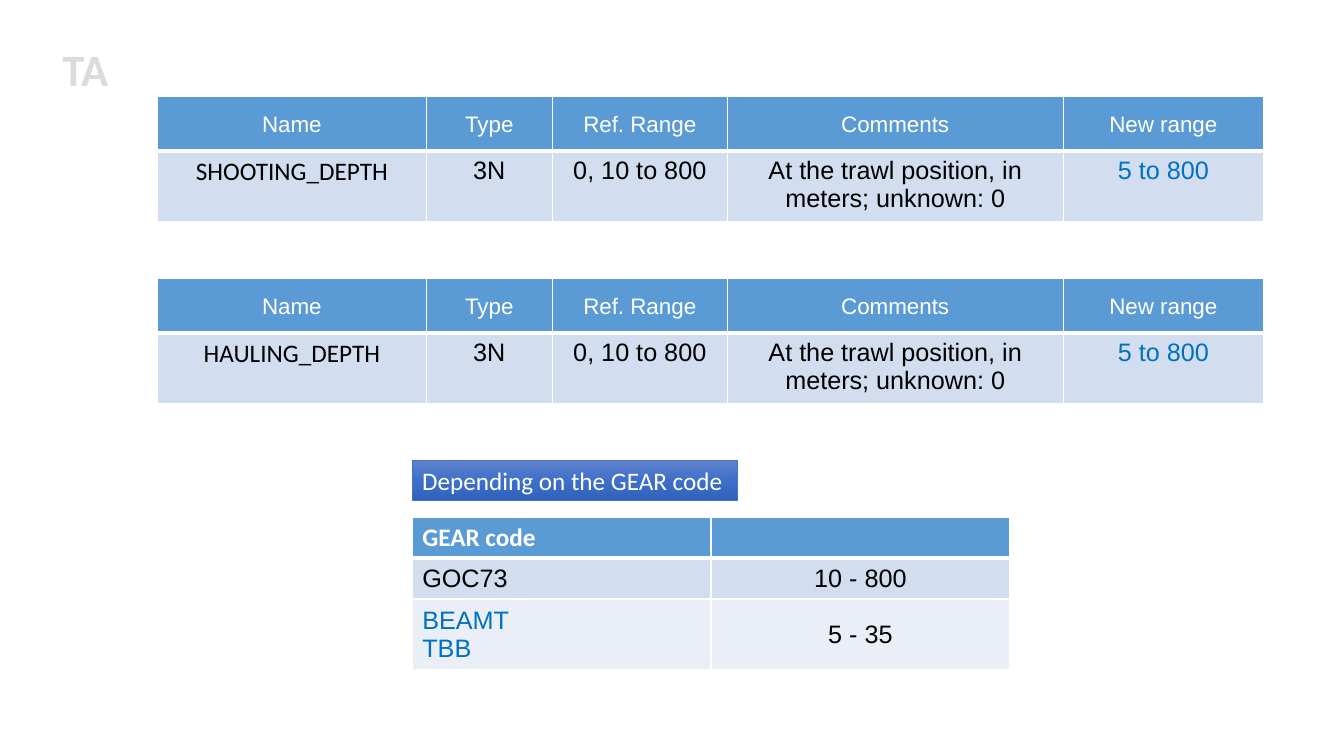
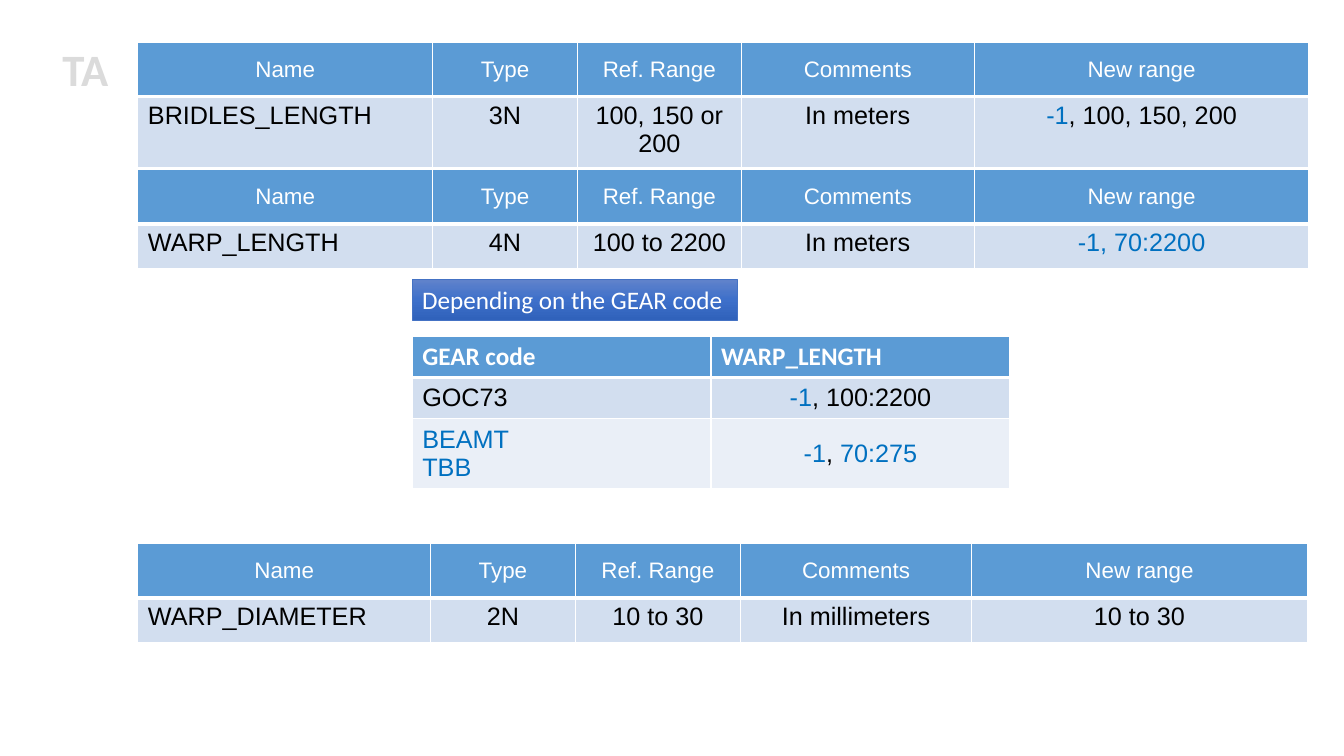
from copy import deepcopy
from itertools import cycle

from lxml import etree
from pptx import Presentation
from pptx.dml.color import RGBColor
from pptx.enum import shapes, text
from pptx.oxml import ns
from pptx.util import Pt

WHITE = RGBColor(0xFF, 0xFF, 0xFF)
BLACK = RGBColor(0x00, 0x00, 0x00)
GREY = RGBColor(0xDB, 0xDB, 0xDB)
HEADER_BLUE = RGBColor(0x5B, 0x9B, 0xD5)
BAND_DARK = RGBColor(0xD2, 0xDE, 0xEF)
BAND_LIGHT = RGBColor(0xEA, 0xEF, 0xF7)
CHANGE_BLUE = RGBColor(0x00, 0x70, 0xC0)
BANNER_LINE = RGBColor(0x44, 0x72, 0xC4)
BANNER_STOPS = (
    (0, RGBColor(0x61, 0x83, 0xCB)),
    (0.5, RGBColor(0x3E, 0x70, 0xCA)),
    (1, RGBColor(0x30, 0x62, 0xBB)),
)

BODY_FONT = "Arial"
TITLE_FONT = "Calibri"
LEFT, CENTER = text.PP_ALIGN.LEFT, text.PP_ALIGN.CENTER
TOP, MIDDLE = text.MSO_ANCHOR.TOP, text.MSO_ANCHOR.MIDDLE

FIELD_HEADINGS = ("Name", "Type", "Ref. Range", "Comments", "New range")
HEADING_HEIGHT = 39
ONE_LINE, TWO_LINES = 31.7, 50
GEAR_LEFT, GEAR_COLUMN = 294.5, 213.4
GEAR_HEIGHTS = (29.2, 29.2, 50)
BANNER_TO_TABLE = 41


class Slides:
    def __init__(self):
        self.deck = Presentation()
        self.deck.slide_width, self.deck.slide_height = Pt(960), Pt(540)
        self.page = None

    def new_page(self, title):
        self.page = self.deck.slides.add_slide(self.deck.slide_layouts[6])
        box = self.page.shapes.add_textbox(Pt(37.5), Pt(26.5), Pt(63.5), Pt(46))
        box.text_frame.word_wrap = True
        self.fill_text(box.text_frame, title, GREY, TITLE_FONT, 32, bold=True)

    def fill_text(self, frame, content, color, font=BODY_FONT, size=18, align=LEFT, bold=False):
        for index, line in enumerate(content.split("\n")):
            para = frame.add_paragraph() if index else frame.paragraphs[0]
            para.alignment = align
            para.font.name, para.font.size, para.font.bold = font, Pt(size), bold
            for part, shade in zip(line.split("|"), cycle((color, CHANGE_BLUE))):
                if part:
                    span = para.add_run()
                    span.text = part
                    span.font.color.rgb = shade

    def cell(self, cell, content, fill, color, anchor, borders, **style):
        for side, width in zip("LRTB", borders):
            line = etree.SubElement(
                cell._tc.get_or_add_tcPr(), ns.qn(f"a:ln{side}"), w=str(Pt(width))
            )
            solid = etree.SubElement(line, ns.qn("a:solidFill"))
            etree.SubElement(solid, ns.qn("a:srgbClr"), val=str(WHITE))
        cell.fill.solid()
        cell.fill.fore_color.rgb = fill
        cell.vertical_anchor = anchor
        self.fill_text(cell.text_frame, content, color, **style)

    def heading_cell(self, cell, content, anchor, **style):
        self.cell(cell, content, HEADER_BLUE, WHITE, anchor, (1, 1, 1, 3), **style)

    def body_cell(self, cell, content, row, anchor, **style):
        fill = BAND_DARK if row % 2 else BAND_LIGHT
        top = 3 if row == 1 else 1
        self.cell(cell, content, fill, BLACK, anchor, (1, 1, top, 1), **style)

    def grid(self, left, top, widths, heights):
        frame = self.page.shapes.add_table(
            len(heights), len(widths), Pt(left), Pt(top), Pt(sum(widths)), Pt(sum(heights))
        )
        table = frame.table
        table.first_row = table.horz_banding = False
        for column, width in zip(table.columns, widths):
            column.width = Pt(width)
        for row, height in zip(table.rows, heights):
            row.height = Pt(height)
        return table

    def field_table(self, left, top, widths, height, values, name_font=BODY_FONT, name_align=LEFT):
        table = self.grid(left, top, widths, (HEADING_HEIGHT, height))
        for column, (heading, value) in enumerate(zip(FIELD_HEADINGS, values)):
            cell = table.cell(0, column)
            cell.margin_left = cell.margin_right = cell.margin_top = Pt(0.7)
            cell.margin_bottom = 0
            self.heading_cell(cell, heading, MIDDLE, size=16, align=CENTER)
            font, align = (BODY_FONT, CENTER) if column else (name_font, name_align)
            self.body_cell(table.cell(1, column), value, 1, TOP, font=font, align=align)

    def banner(self, top, content):
        box = self.page.shapes.add_shape(
            shapes.MSO_SHAPE.RECTANGLE, Pt(GEAR_LEFT), Pt(top), Pt(232), Pt(29)
        )
        box.shadow.inherit = False
        box.fill.gradient()
        box.fill.gradient_angle = 270
        stops = box._element.spPr.find(".//" + ns.qn("a:gsLst"))
        stops.insert(1, deepcopy(stops[0]))
        for stop, (position, color) in zip(box.fill.gradient_stops, BANNER_STOPS):
            stop.position = position
            stop.color.rgb = color
        box.line.color.rgb = BANNER_LINE
        box.line.width = Pt(0.5)
        box.text_frame.word_wrap = False
        self.fill_text(box.text_frame, content, WHITE, TITLE_FONT)

    def gear_section(self, top, heading, standard_range, beam_range):
        self.banner(top, "Depending on the GEAR code")
        table = self.grid(GEAR_LEFT, top + BANNER_TO_TABLE, (GEAR_COLUMN,) * 2, GEAR_HEIGHTS)
        for column, content in enumerate(("GEAR code", heading)):
            self.heading_cell(table.cell(0, column), content, TOP, font=TITLE_FONT, bold=True)
        rows = (("GOC73", standard_range), ("|BEAMT|\n|TBB|", beam_range))
        for row, (code, limits) in enumerate(rows, 1):
            self.body_cell(table.cell(row, 0), code, row, MIDDLE)
            self.body_cell(table.cell(row, 1), limits, row, MIDDLE, align=CENTER)


def main():
    slides = Slides()

    slides.new_page("TA")
    depth_widths = (192, 90, 125, 240, 143)
    for top, name in ((69, "SHOOTING_DEPTH"), (199, "HAULING_DEPTH")):
        values = (name, "3N", "0, 10 to 800",
                  "At the trawl position, in meters; unknown: 0", "|5 to 800|")
        slides.field_table(112.5, top, depth_widths, TWO_LINES, values, TITLE_FONT, CENTER)
    slides.gear_section(328.5, "", "10 - 800", "5 - 35")

    slides.new_page("TA")
    length_widths = (210.5, 103.5, 117, 166.5, 239)
    diameter_widths = (209, 103.5, 118, 165, 240)
    fields = (
        (30, length_widths, TWO_LINES,
         ("BRIDLES_LENGTH", "3N", "100, 150 or 200", "In meters", "|-1|, 100, 150, 200")),
        (121, length_widths, ONE_LINE,
         ("WARP_LENGTH", "4N", "100 to 2200", "In meters", "|-1, 70:2200|")),
        (388, diameter_widths, ONE_LINE,
         ("WARP_DIAMETER", "2N", "10 to 30", "In millimeters", "10 to 30")),
    )
    for top, widths, height, values in fields:
        slides.field_table(98.5, top, widths, height, values)
    slides.gear_section(199.5, "WARP_LENGTH", "|-1|, 100:2200", "|-1|, |70:275|")

    slides.deck.save("out.pptx")


if __name__ == "__main__":
    main()
